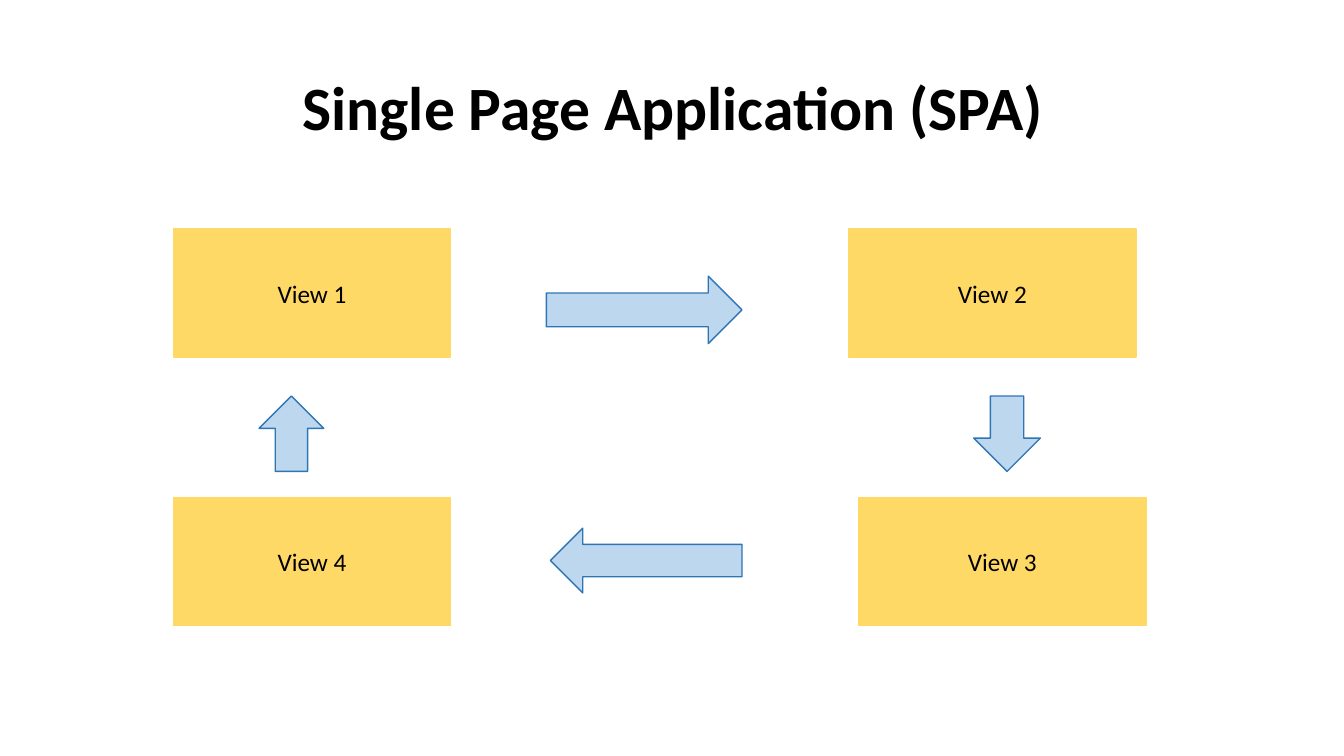
from dataclasses import dataclass

from lxml import etree
from pptx import Presentation
from pptx.dml.color import RGBColor
from pptx.enum.shapes import MSO_SHAPE
from pptx.enum.text import MSO_ANCHOR, PP_ALIGN
from pptx.util import Cm, Pt

RECTANGLE = MSO_SHAPE.RECTANGLE
RIGHT_ARROW = MSO_SHAPE.RIGHT_ARROW
DOWN_ARROW = MSO_SHAPE.DOWN_ARROW
UP_ARROW = MSO_SHAPE.UP_ARROW
MIDDLE = MSO_ANCHOR.MIDDLE
CENTER = PP_ALIGN.CENTER


@dataclass(frozen=True)
class Theme:
    font: str = "Calibri"
    title_size: int = 44
    view_size: int = 18
    line_width: int = 1
    text: str = "000000"
    view: str = "FFD966"
    arrow_fill: str = "BDD7EE"
    arrow_line: str = "2E75B6"


THEME = Theme()


def write_text(shape, text, size, bold=False, line_spacing=1.0):
    """Put one centred line of text in the middle of a shape."""
    frame = shape.text_frame
    frame.word_wrap = True
    frame.vertical_anchor = MIDDLE
    paragraph = frame.paragraphs[0]
    paragraph.alignment = CENTER
    paragraph.line_spacing = line_spacing
    run = paragraph.add_run()
    run.text = text
    run.font.name = THEME.font
    run.font.size = Pt(size)
    run.font.bold = bold
    run.font.color.rgb = RGBColor.from_string(THEME.text)


def add_block(slide, kind, box, fill, line):
    """Add a flat filled and outlined shape; box is in centimetres."""
    shape = slide.shapes.add_shape(kind, *map(Cm, box))
    shape.shadow.inherit = False
    shape.fill.solid()
    shape.fill.fore_color.rgb = RGBColor.from_string(fill)
    shape.line.color.rgb = RGBColor.from_string(line)
    shape.line.width = Pt(THEME.line_width)
    return shape


def add_title(slide, box, text):
    title = slide.shapes.add_textbox(*map(Cm, box))
    write_text(title, text, THEME.title_size, bold=True, line_spacing=0.9)


def add_view_cycle(slide, left, top):
    """Draw four views in a ring, with arrows running clockwise."""
    view_height, lower_row = 3.23, 6.76
    arrow_top, arrow_height = 4.21, 1.9

    # Views: offset from the left, offset from the top, width
    views = [(0, 0, 6.99), (17.02, 0, 7.24),
             (17.27, lower_row, 7.24), (0, lower_row, 6.99)]
    for number, (x, y, width) in enumerate(views, start=1):
        view = add_block(slide, RECTANGLE, (left + x, top + y, width, view_height),
                         THEME.view, THEME.view)
        write_text(view, f"View {number}", THEME.view_size)

    # Arrows: preset, offsets, size, rotation
    arrows = [(RIGHT_ARROW, 9.4, 1.19, 4.93, 1.7, 0),
              (DOWN_ARROW, 20.17, arrow_top, 1.68, arrow_height, 0),
              (RIGHT_ARROW, 9.5, 7.54, 4.83, 1.63, 180),
              (UP_ARROW, 2.16, arrow_top, 1.63, arrow_height, 0)]
    for kind, x, y, width, height, rotation in arrows:
        arrow = add_block(slide, kind, (left + x, top + y, width, height),
                          THEME.arrow_fill, THEME.arrow_line)
        arrow.rotation = rotation


def main():
    presentation = Presentation()
    presentation.slide_width = Cm(33.87)
    presentation.slide_height = Cm(19.05)
    slide = presentation.slides.add_slide(presentation.slide_layouts[6])
    add_title(slide, (2.36, 0.94, 29.21, 3.68), "Single Page Application (SPA)")
    add_view_cycle(slide, left=4.37, top=5.77)
    presentation.save("out.pptx")


if __name__ == "__main__":
    main()
